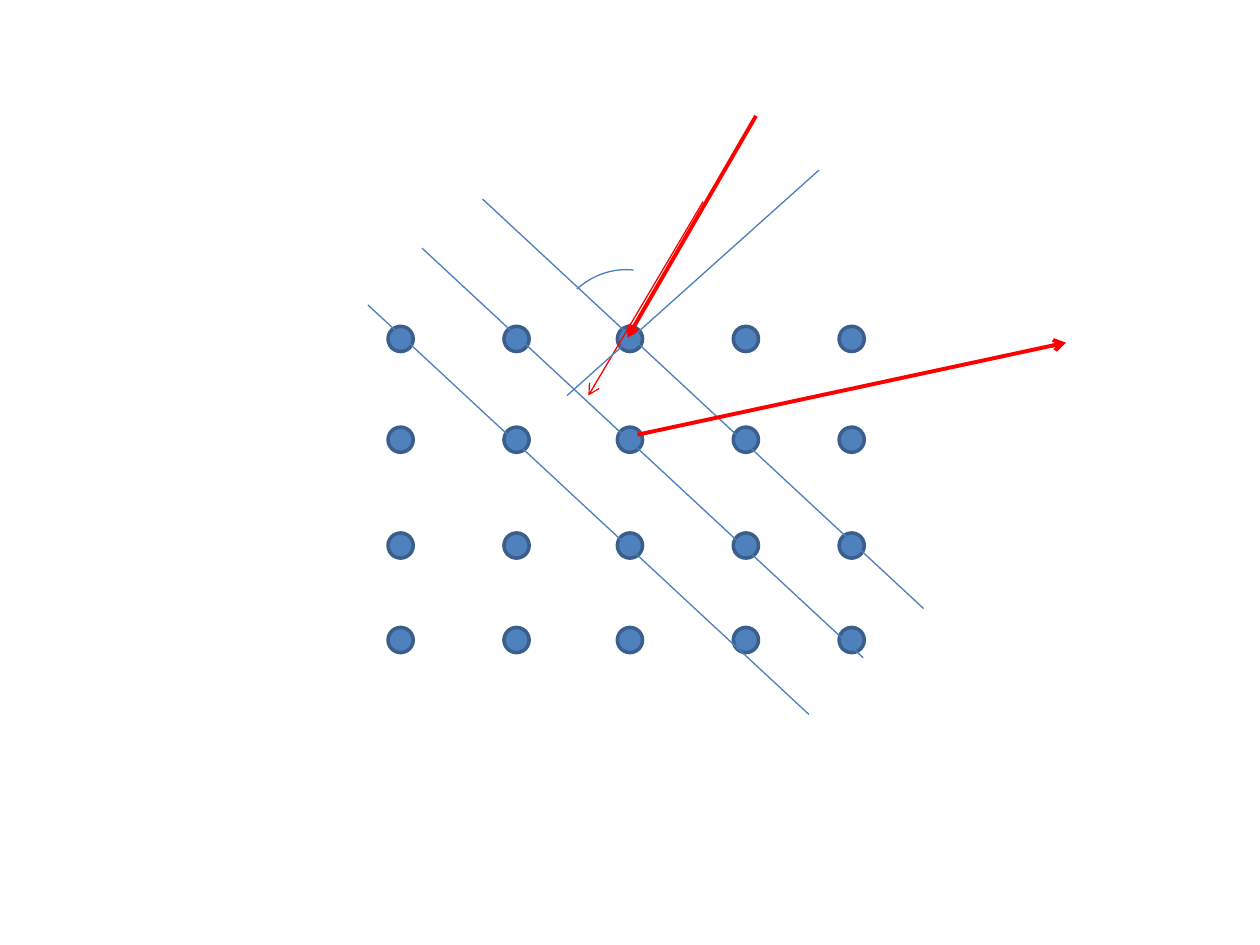
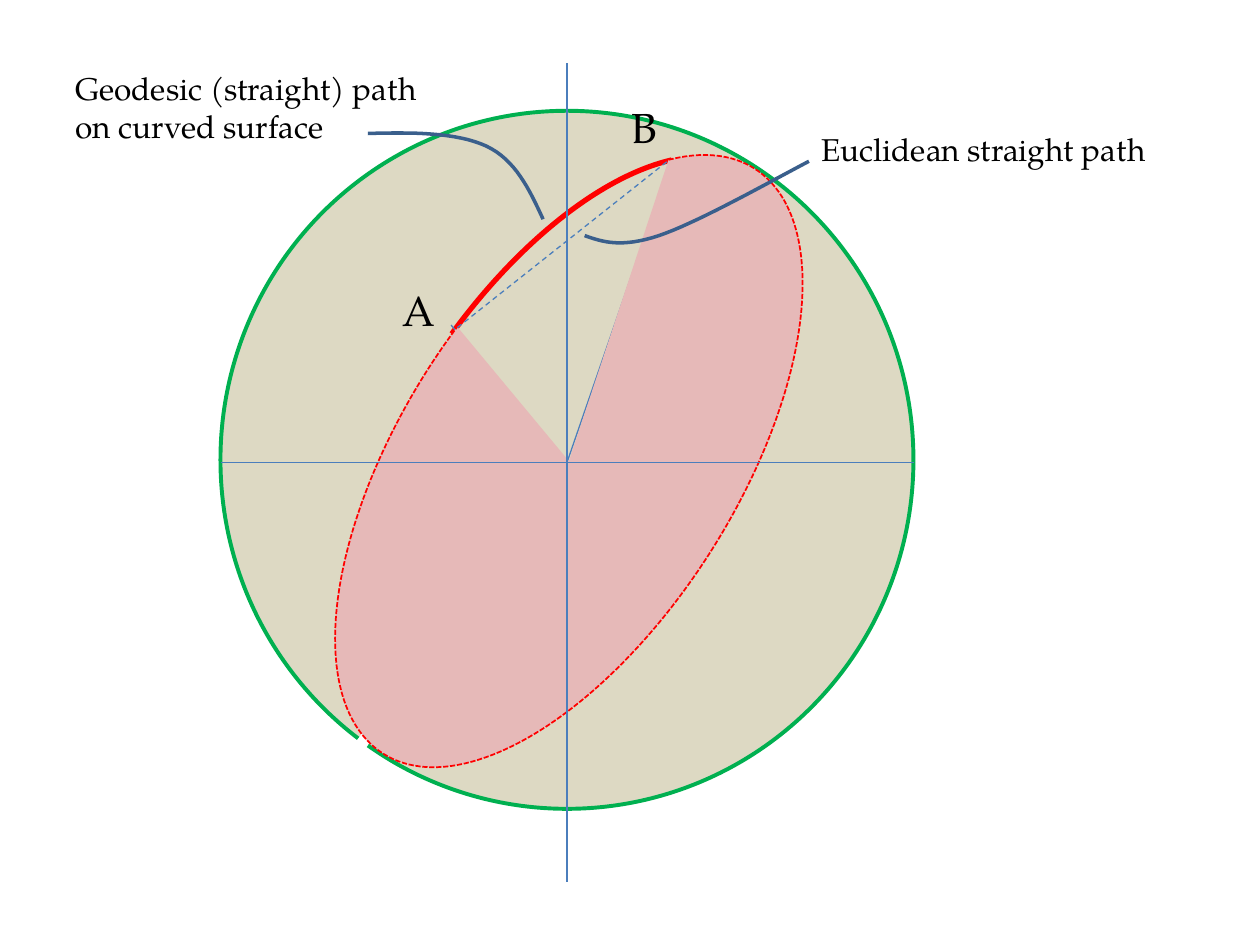
from lxml import etree
from pptx import Presentation
from pptx.dml.color import RGBColor
from pptx.enum.dml import MSO_LINE
from pptx.enum.shapes import MSO_CONNECTOR, MSO_SHAPE
from pptx.enum.text import MSO_AUTO_SIZE
from pptx.oxml.ns import qn
from pptx.util import Inches, Pt

STRAIGHT = MSO_CONNECTOR.STRAIGHT
ARC, OVAL = MSO_SHAPE.ARC, MSO_SHAPE.OVAL
DASH, FINE_DASH = MSO_LINE.DASH, MSO_LINE.SQUARE_DOT
FIT_SHAPE = MSO_AUTO_SIZE.SHAPE_TO_FIT_TEXT

BLACK = RGBColor(0x00, 0x00, 0x00)
BLUE = RGBColor(0x4F, 0x81, 0xBD)
LINE_BLUE = RGBColor(0x4B, 0x7E, 0xBC)
DARK_BLUE = RGBColor(0x3A, 0x5F, 0x8C)
RED = RGBColor(0xFF, 0x00, 0x00)
GREEN = RGBColor(0x00, 0xB0, 0x50)
SAND = RGBColor(0xDD, 0xD9, 0xC3)
PINK = RGBColor(0xE6, 0xB9, 0xB8)
FONT = "TeX Gyre Pagella"

# Crystal lattice: atoms, lattice planes and rays
ATOM_SIZE = 0.2
ATOM_COLUMNS = [3.08, 4, 4.9, 5.82, 6.66]
ATOM_ROWS = [2.59, 3.39, 4.23, 4.98]
PLANE_STARTS = [(3.83, 1.58), (3.35, 1.97), (2.92, 2.42)]
PLANE_RUN, PLANE_DROP = 3.5, 3.25
ANGLE_MARK = (4.35, 2.14, 1.24, 1.38)
PLANE_NORMAL = ((4.5, 3.14), (6.5, 1.35))
INCOMING_RAY = ((6, 0.92), (4.98, 2.68))
TRANSMITTED_RAY = ((5.58, 1.6), (4.67, 3.14))
SCATTERED_RAY = ((5.06, 3.45), (8.46, 2.72))

# Sphere: great circle, geodesic and chord between A and B
CENTER = (4.5, 3.67)
SPHERE = (1.75, 0.88, 5.5, 5.54)
GEODESIC = (3.17, 0.92, 2.67, 5.5)
GREAT_CIRCLE = (3.18, 0.91, 2.67, 5.5)
TILT = 32.4
RADII_ENDS = [(3.58, 2.58), (5.33, 1.27)]
CHORD = ((3.63, 2.6), (5.31, 1.27))
AXES = [((1.75, 3.67), (7.25, 3.67)), ((4.5, 0.5), (4.5, 7))]
POINT_LABELS = [("A", (3.1, 2.21, 0.46, 0.5)), ("B", (4.91, 0.76, 0.41, 0.5))]
CALLOUTS = [
    ("Euclidean straight path", (6.42, 0.98, 2.81, 0.4),
     [(4.64, 1.87), (4.78, 1.92), (4.93, 1.97), (5.23, 1.87),
      (5.52, 1.77), (5.97, 1.52), (6.42, 1.28)]),
    ("Geodesic (straight) path\non curved surface", (0.5, 0.5, 2.95, 0.71),
     [(4.31, 1.74), (4.2, 1.5), (4.09, 1.27), (3.86, 1.16),
      (3.62, 1.05), (3.27, 1.05), (2.92, 1.06)]),
]
CURVE_STEPS = 16


def style_shape(shape, fill, color, width, dash=None):
    shape.shadow.inherit = False
    if fill is None:
        shape.fill.background()
    else:
        shape.fill.solid()
        shape.fill.fore_color.rgb = fill
    style_line(shape.line, color, width, dash)


def style_line(line, color, width, dash=None):
    line.color.rgb = color
    line.width = Pt(width)
    if dash is not None:
        line.dash_style = dash


def add_shape(page, kind, place, color, width, fill=None, dash=None):
    shape = page.shapes.add_shape(kind, *map(Inches, place))
    style_shape(shape, fill, color, width, dash)
    return shape


def add_arc(page, place, start, end, color, width, rotation=0, **look):
    """Draw an arc clockwise between two angles given in degrees."""
    arc = add_shape(page, ARC, place, color, width, **look)
    # An adjustment of 1 stands for 100000 units of 1/60000 degree
    arc.adjustments[0] = start * 0.6
    arc.adjustments[1] = end * 0.6
    arc.rotation = rotation


def add_line(page, start, end, color=LINE_BLUE, width=0.75, dash=None, arrow=False):
    line = page.shapes.add_connector(STRAIGHT, *map(Inches, (*start, *end)))
    style_line(line.line, color, width, dash)
    if arrow:
        outline = line.line._get_or_add_ln()
        etree.SubElement(outline, qn("a:tailEnd"), type="arrow")
    etree.SubElement(line._element.spPr, qn("a:effectLst"))


def curve_points(controls):
    """Sample a chain of cubic curves that share their end points."""
    points = [controls[0]]
    for first in range(0, len(controls) - 1, 3):
        a, b, c, d = controls[first:first + 4]
        for step in range(1, CURVE_STEPS + 1):
            t = step / CURVE_STEPS
            weights = ((1 - t) ** 3, 3 * t * (1 - t) ** 2, 3 * t * t * (1 - t), t ** 3)
            points.append(tuple(sum(w * p[axis] for w, p in zip(weights, (a, b, c, d)))
                                for axis in (0, 1)))
    return points


def add_curve(page, controls, color, width):
    start, *rest = [(Inches(x), Inches(y)) for x, y in curve_points(controls)]
    builder = page.shapes.build_freeform(*start)
    builder.add_line_segments(rest, close=False)
    style_shape(builder.convert_to_shape(), None, color, width)


def add_text(page, text, place, size=18, color=BLACK, font=FONT):
    box = page.shapes.add_textbox(*map(Inches, place))
    frame = box.text_frame
    frame.word_wrap = False
    frame.auto_size = FIT_SHAPE
    frame.text = text
    for para in frame.paragraphs:
        for span in para.runs:
            span.font.name = font
            span.font.size = Pt(size)
            span.font.color.rgb = color


def draw_lattice(page):
    for top in ATOM_ROWS:
        for left in ATOM_COLUMNS:
            add_shape(page, OVAL, (left, top, ATOM_SIZE, ATOM_SIZE),
                      DARK_BLUE, 2, fill=BLUE)
    for x, y in PLANE_STARTS:
        add_line(page, (x, y), (x + PLANE_RUN, y + PLANE_DROP))
    add_line(page, *INCOMING_RAY, color=RED, width=2.25, arrow=True)
    add_line(page, *TRANSMITTED_RAY, color=RED, arrow=True)
    add_arc(page, ANGLE_MARK, 233.75, 274.91, LINE_BLUE, 0.75)
    add_line(page, *PLANE_NORMAL)
    add_line(page, *SCATTERED_RAY, color=RED, width=2.25, arrow=True)


def draw_sphere(page):
    add_arc(page, SPHERE, 126.86, 124.87, GREEN, 2.25, fill=SAND)
    add_arc(page, GEODESIC, 195.57, 256.59, RED, 3, rotation=TILT)
    for end in RADII_ENDS:
        add_line(page, CENTER, end)
    add_arc(page, GREAT_CIRCLE, 255.91, 197.87, RED, 1, rotation=TILT,
            fill=PINK, dash=FINE_DASH)
    for name, place in POINT_LABELS:
        add_text(page, name, place, size=24)
    add_line(page, *CHORD, dash=DASH)
    for text, place, leader in CALLOUTS:
        add_curve(page, leader, DARK_BLUE, 2)
        add_text(page, text, place)
    for axis in AXES:
        add_line(page, *axis)


def main():
    deck = Presentation()
    deck.slide_width, deck.slide_height = Inches(10), Inches(7.5)
    blank = deck.slide_layouts[6]
    for draw in (draw_lattice, draw_sphere):
        draw(deck.slides.add_slide(blank))
    deck.save("out.pptx")


if __name__ == "__main__":
    main()
